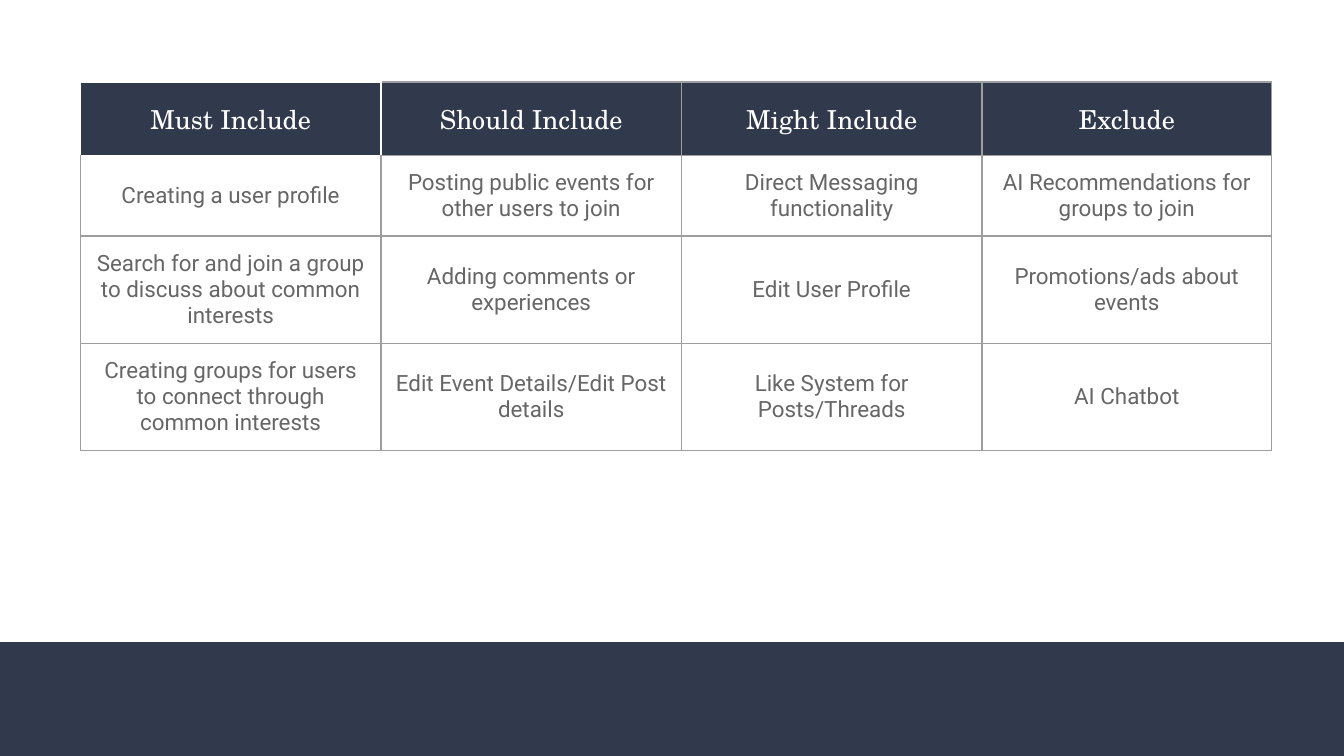
import pptx
import pptx.dml.color
import pptx.enum.shapes
import pptx.enum.text
import pptx.oxml
import pptx.oxml.ns
import pptx.util
from pptx.util import Cm

COLORS = {
    "navy": "31394D",
    "white": "FFFFFF",
    "text": "666666",
    "grid": "9E9E9E",
}
COLUMN_WIDTHS = [5.68, 5.68, 5.68, 5.47]
ROW_HEIGHTS = [1.39, 1.52, 2.03, 2.03]
FEATURES = [
    ["Must Include", "Should Include", "Might Include", "Exclude"],
    [
        "Creating a user profile",
        "Posting public events for other users to join",
        "Direct Messaging functionality",
        "AI Recommendations for groups to join",
    ],
    [
        "Search for and join a group to discuss about common interests",
        "Adding comments or experiences",
        "Edit User Profile",
        "Promotions/ads about events",
    ],
    [
        "Creating groups for users to connect through common interests",
        "Edit Event Details/Edit Post details",
        "Like System for Posts/Threads",
        "AI Chatbot",
    ],
]


def rgb(name):
    return pptx.dml.color.RGBColor.from_string(COLORS[name])


def write_text(cell, text, *, font, size, color):
    paragraph = cell.text_frame.paragraphs[0]
    paragraph.alignment = pptx.enum.text.PP_ALIGN.CENTER
    run = paragraph.add_run()
    run.text = text
    run.font.name = font
    run.font.size = pptx.util.Pt(size)
    run.font.color.rgb = rgb(color)


def set_borders(cell, **sides):
    """Draw 0.75 pt borders; sides maps L, R, T and B, in that order, to colours."""
    properties = cell._tc.get_or_add_tcPr()
    for index, (side, color) in enumerate(sides.items()):
        line = pptx.oxml.parse_xml(
            f'<a:ln{side} {pptx.oxml.ns.nsdecls("a")} w="9525"><a:solidFill>'
            f'<a:srgbClr val="{COLORS[color]}"/></a:solidFill></a:ln{side}>'
        )
        properties.insert(index, line)


class SlideBuilder:
    """Holds the text styles and the slide being built."""

    header_style = {"font": "TeX Gyre Schola", "size": 14, "color": "white"}
    body_style = {"font": "Roboto", "size": 12, "color": "text"}
    cell_margin = Cm(0.25)

    def __init__(self, slide):
        self.slide = slide

    def band(self, left, top, width, height, color):
        shape = self.slide.shapes.add_shape(
            pptx.enum.shapes.MSO_SHAPE.RECTANGLE,
            Cm(left), Cm(top), Cm(width), Cm(height),
        )
        shape.shadow.inherit = False
        shape.fill.solid()
        shape.fill.fore_color.rgb = rgb(color)
        shape.line.fill.background()

    def table(self, left, top, widths, heights, rows):
        table = self.slide.shapes.add_table(
            len(heights), len(widths),
            Cm(left), Cm(top), Cm(sum(widths)), Cm(sum(heights)),
        ).table
        table.horz_banding = False
        for column, width in zip(table.columns, widths):
            column.width = Cm(width)
        for row, height in zip(table.rows, heights):
            row.height = Cm(height)
        for row_index, texts in enumerate(rows):
            for column_index, text in enumerate(texts):
                self.cell(table, row_index, column_index, text)

    def cell(self, table, row, column, text):
        cell = table.cell(row, column)
        is_header = row == 0
        cell.vertical_anchor = pptx.enum.text.MSO_ANCHOR.MIDDLE
        cell.margin_left = cell.margin_right = self.cell_margin
        cell.margin_top = cell.margin_bottom = self.cell_margin
        if is_header:
            cell.fill.solid()
            cell.fill.fore_color.rgb = rgb("navy")
        else:
            cell.fill.background()
        write_text(cell, text, **(self.header_style if is_header else self.body_style))

        # The first header cell is outlined in white, edges shared with neighbours too.
        first_header = is_header and column == 0
        set_borders(
            cell,
            L="white" if is_header and column <= 1 else "grid",
            R="white" if first_header else "grid",
            T="white" if row <= 1 and column == 0 else "grid",
            B="white" if first_header else "grid",
        )


def main():
    presentation = pptx.Presentation()
    presentation.slide_width = Cm(25.4)
    presentation.slide_height = Cm(14.29)
    builder = SlideBuilder(presentation.slides.add_slide(presentation.slide_layouts[6]))
    builder.band(0, 12.14, 25.4, 2.15, "navy")
    builder.table(1.52, 1.55, COLUMN_WIDTHS, ROW_HEIGHTS, FEATURES)
    presentation.save("out.pptx")


if __name__ == "__main__":
    main()
